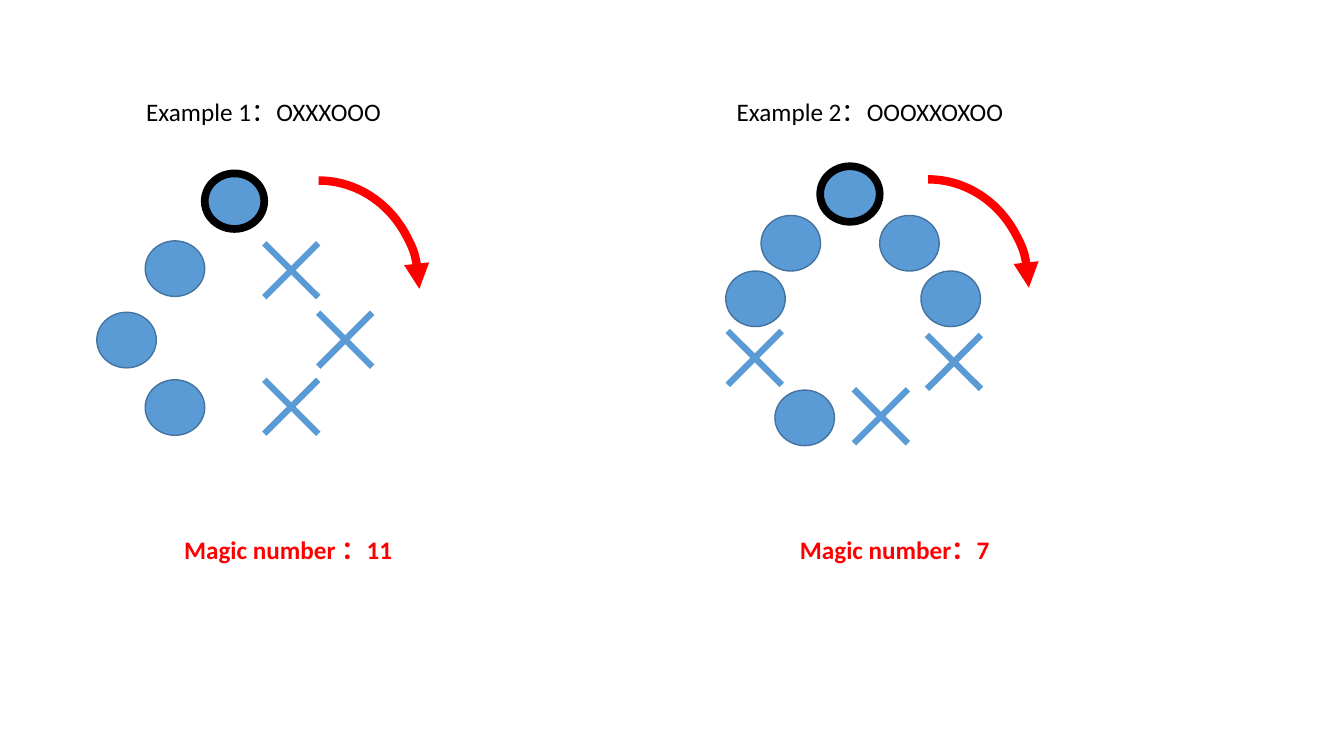
"""Build a slide with two circular examples of O and X marks and their magic numbers."""
from dataclasses import dataclass

from lxml.etree import SubElement
from pptx import Presentation
from pptx.dml.color import RGBColor
from pptx.enum.shapes import MSO_CONNECTOR, MSO_SHAPE
from pptx.enum.text import MSO_ANCHOR, MSO_AUTO_SIZE, PP_ALIGN
from pptx.oxml.ns import qn
from pptx.shapes.base import BaseShape
from pptx.slide import Slide
from pptx.util import Cm, Pt

BLUE, DARK_BLUE, BLACK, RED = "5B9BD5", "43739E", "000000", "FF0000"
CIRCLE_WIDTH, CIRCLE_HEIGHT, CROSS_SIZE = 1.5, 1.4, 1.36
ARC_WIDTH, ARC_HEIGHT, TEXT_HEIGHT = 5.08, 5.46, 1.03
COMPARISON_LAYOUT = 4

Point = tuple[float, float]


@dataclass(frozen=True)
class Label:
    text: str
    left: float
    top: float
    width: float


@dataclass(frozen=True)
class Example:
    heading_idx: int
    heading: Label
    marks: str
    centers: list[Point]
    arc_corner: Point
    result: Label


EXAMPLES = [
    Example(
        1,
        Label("Example 1：OXXXOOO", 3.43, 2.29, 7.11),
        "OXXXOOO",
        [(5.91, 5.07), (7.34, 6.81), (8.7, 8.56), (7.34, 10.25),
         (4.41, 10.27), (3.19, 8.57), (4.41, 6.77)],
        (5.49, 4.55),
        Label("Magic number ：11", 4.39, 13.34, 6.15),
    ),
    Example(
        3,
        Label("Example 2：OOOXXOXOO", 18.31, 2.31, 7.62),
        "OOOXXOXOO",
        [(21.42, 4.89), (22.92, 6.13), (23.96, 7.53), (24.04, 9.12), (22.2, 10.49),
         (20.28, 10.53), (19.02, 9.02), (19.04, 7.53), (19.93, 6.13)],
        (20.85, 4.52),
        Label("Magic number：7", 19.91, 13.34, 6.78),
    ),
]


def color(hex_code: str) -> RGBColor:
    return RGBColor.from_string(hex_code)


def set_line(outlined: BaseShape, hex_code: str, width: float) -> None:
    outlined.line.color.rgb = color(hex_code)
    outlined.line.width = Pt(width)


def write_label(holder: BaseShape, label: Label, hex_code: str, bold: bool) -> None:
    holder.left, holder.top = Cm(label.left), Cm(label.top)
    holder.width, holder.height = Cm(label.width), Cm(TEXT_HEIGHT)
    frame = holder.text_frame
    frame.text = label.text
    frame.word_wrap = True
    frame.auto_size = MSO_AUTO_SIZE.SHAPE_TO_FIT_TEXT
    frame.vertical_anchor = MSO_ANCHOR.TOP
    paragraph = frame.paragraphs[0]
    paragraph.alignment = PP_ALIGN.LEFT
    paragraph.space_before = Pt(0)
    paragraph.font.name = "Calibri"
    paragraph.font.size = Pt(18)
    paragraph.font.bold = bold
    paragraph.font.color.rgb = color(hex_code)


def draw_circle(slide: Slide, center: Point, is_start: bool) -> None:
    x, y = center
    circle = slide.shapes.add_shape(
        MSO_SHAPE.OVAL, Cm(x - CIRCLE_WIDTH / 2), Cm(y - CIRCLE_HEIGHT / 2),
        Cm(CIRCLE_WIDTH), Cm(CIRCLE_HEIGHT))
    circle.shadow.inherit = False
    circle.fill.solid()
    circle.fill.fore_color.rgb = color(BLUE)
    if is_start:
        set_line(circle, BLACK, 5.5)
    else:
        set_line(circle, DARK_BLUE, 1)


def draw_cross(slide: Slide, center: Point) -> None:
    x, y = center
    half = CROSS_SIZE / 2
    cross = slide.shapes.add_group_shape()
    for side in (-half, half):
        stroke = cross.shapes.add_connector(
            MSO_CONNECTOR.STRAIGHT, Cm(x + side), Cm(y - half), Cm(x - side), Cm(y + half))
        set_line(stroke, BLUE, 4.5)
        SubElement(stroke._element.spPr, qn("a:effectLst"))


def draw_direction(slide: Slide, corner: Point) -> None:
    arc = slide.shapes.add_shape(
        MSO_SHAPE.ARC, Cm(corner[0]), Cm(corner[1]), Cm(ARC_WIDTH), Cm(ARC_HEIGHT))
    arc.shadow.inherit = False
    arc.fill.background()
    set_line(arc, RED, 6)
    SubElement(arc.line._get_or_add_ln(), qn("a:tailEnd"), type="triangle")


def draw_example(slide: Slide, example: Example) -> None:
    heading = next(holder for holder in slide.placeholders
                   if holder.placeholder_format.idx == example.heading_idx)
    write_label(heading, example.heading, BLACK, False)
    for position, (mark, center) in enumerate(zip(example.marks, example.centers)):
        if mark == "O":
            draw_circle(slide, center, position == 0)
        else:
            draw_cross(slide, center)
    draw_direction(slide, example.arc_corner)
    result = slide.shapes.add_textbox(0, 0, 0, 0)
    write_label(result, example.result, RED, True)


def main() -> None:
    presentation = Presentation()
    presentation.slide_width, presentation.slide_height = Cm(33.87), Cm(19.05)
    slide = presentation.slides.add_slide(presentation.slide_layouts[COMPARISON_LAYOUT])
    for example in EXAMPLES:
        draw_example(slide, example)
    for holder in list(slide.placeholders):
        if not holder.text_frame.text:
            holder._element.getparent().remove(holder._element)
    presentation.save("out.pptx")


if __name__ == "__main__":
    main()
